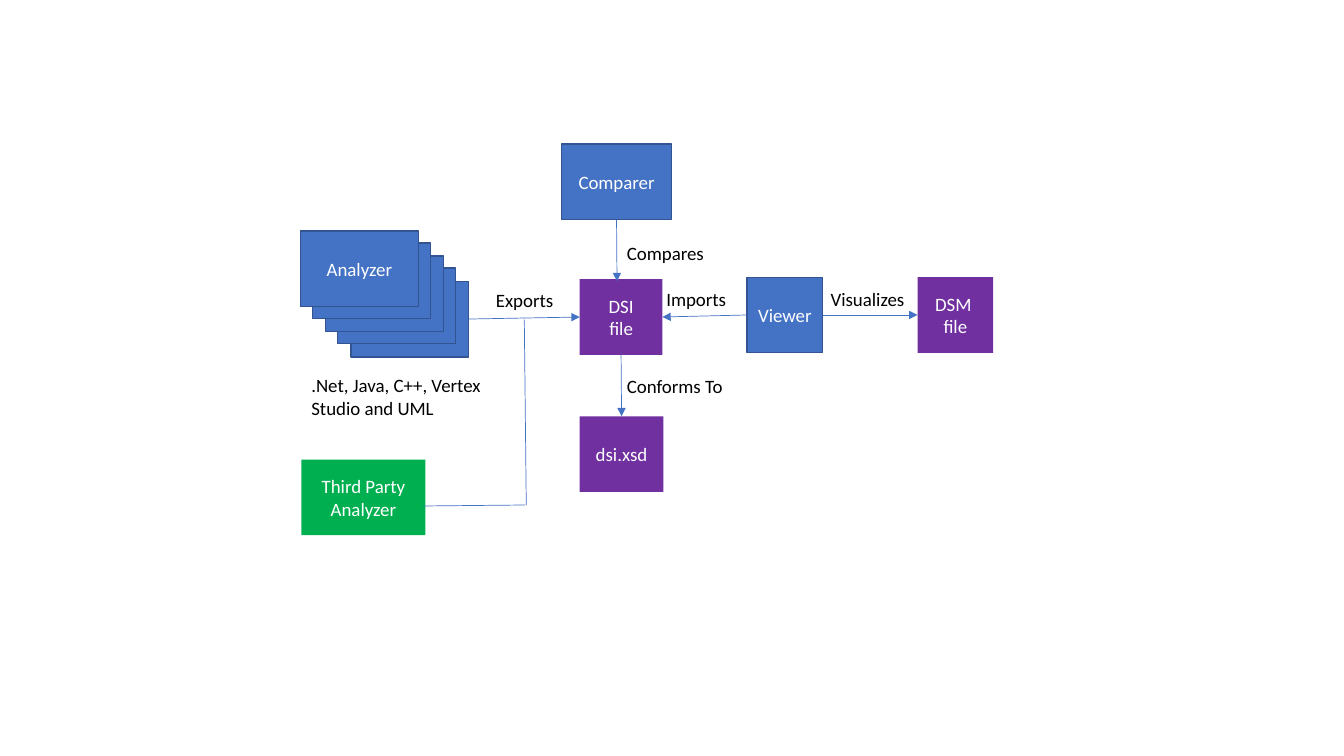
from pptx import Presentation
from pptx.dml.color import RGBColor
from pptx.enum.shapes import MSO_CONNECTOR as CONN, MSO_SHAPE as SHAPE
from pptx.enum.text import MSO_ANCHOR as ANCHOR, MSO_AUTO_SIZE as AUTO, PP_ALIGN as ALIGN
from pptx.oxml.ns import qn
from pptx.util import Emu, Pt
from lxml.etree import SubElement

PX = 9144
BLUE, EDGE, PURPLE, GREEN = "4472C4", "325491", "7030A0", "00B050"
WHITE, BLACK = "FFFFFF", "000000"
TOP, LEFT, BOTTOM, RIGHT = range(4)


def rgb(value):
    return RGBColor.from_string(value)


class Diagram:
    """Holds the text style and the slide being drawn."""

    def __init__(self, slide, font="Calibri", size=13.5):
        self.shapes = slide.shapes
        self.font, self.size = font, size

    def set_text(self, sp, text, color, align):
        tf = sp.text_frame
        tf.text = text
        tf.word_wrap = True
        for p in tf.paragraphs:
            p.alignment = align
            for r in p.runs:
                r.font.name, r.font.size = self.font, Pt(self.size)
                r.font.color.rgb = rgb(color)

    def box(self, x, y, w, h, fill, text="", edge=None):
        sp = self.shapes.add_shape(SHAPE.RECTANGLE, *(Emu(v * PX) for v in (x, y, w, h)))
        sp.shadow.inherit = False
        sp.fill.solid()
        sp.fill.fore_color.rgb = rgb(fill)
        if edge:
            sp.line.color.rgb = rgb(edge)
            sp.line.width = Pt(1)
        else:
            sp.line.fill.background()
        if text:
            self.set_text(sp, text, WHITE, ALIGN.CENTER)
            sp.text_frame.vertical_anchor = ANCHOR.MIDDLE
        return sp

    def label(self, x, y, w, h, text):
        sp = self.shapes.add_textbox(*(Emu(v * PX) for v in (x, y, w, h)))
        self.set_text(sp, text, BLACK, ALIGN.LEFT)
        sp.text_frame.auto_size = AUTO.SHAPE_TO_FIT_TEXT

    def line(self, start, end, arrow=True):
        """Draw from start to end, each an (x, y) point or a (shape, side) joint."""
        ends = [(0, 0) if hasattr(a, "shape_id") else (a, b) for a, b in (start, end)]
        c = self.shapes.add_connector(CONN.STRAIGHT, *(Emu(v * PX) for pt in ends for v in pt))
        for joint, connect in ((start, c.begin_connect), (end, c.end_connect)):
            if hasattr(joint[0], "shape_id"):
                connect(*joint)
        c.line.color.rgb = rgb(BLUE)
        c.line.width = Pt(0.5)
        props = c.element.spPr
        if arrow:
            SubElement(props.find(qn("a:ln")), qn("a:tailEnd"), type="triangle")
        SubElement(props, qn("a:effectLst"))


def main():
    prs = Presentation()
    prs.slide_width, prs.slide_height = Emu(1333 * PX), Emu(750 * PX)
    s = Diagram(prs.slides.add_slide(prs.slide_layouts[6]))

    viewer = s.box(741, 275, 75, 75, BLUE, "Viewer", EDGE)
    xsd = s.box(575, 413, 83, 75, PURPLE, "dsi.xsd")
    dsi = s.box(575, 277, 82, 75, PURPLE, "DSI\nfile")
    dsm = s.box(910, 275, 75, 75, PURPLE, "DSM \nfile")
    comparer = s.box(557, 143, 109, 75, BLUE, "Comparer", EDGE)
    s.box(299, 456, 123, 75, GREEN, "Third Party Analyzer")

    stack = []
    for i in range(4, -1, -1):
        shift = i * 25 // 2
        text = "" if i else "Analyzer"
        stack.append(s.box(298 + shift, 229 + shift, 117, 75, BLUE, text, EDGE))

    s.line((viewer, LEFT), (dsi, RIGHT))
    s.line((viewer, RIGHT), (dsm, LEFT))
    s.line((dsi, BOTTOM), (xsd, TOP))
    s.line((stack[0], RIGHT), (dsi, LEFT))
    s.line((comparer, BOTTOM), (612, 279))
    s.line((420, 502), (521, 501), arrow=False)
    s.line((522, 501), (520, 317), arrow=False)

    for x, y, w, h, text in (
        (299, 366, 204, 56, ".Net, Java, C++, Vertex Studio and UML"),
        (612, 367, 123, 33, "Conforms To"),
        (814, 280, 97, 33, "Visualizes"),
        (651, 280, 85, 33, "Imports"),
        (482, 281, 78, 33, "Exports"),
        (612, 235, 97, 33, "Compares"),
    ):
        s.label(x, y, w, h, text)

    prs.save("out.pptx")


if __name__ == "__main__":
    main()
